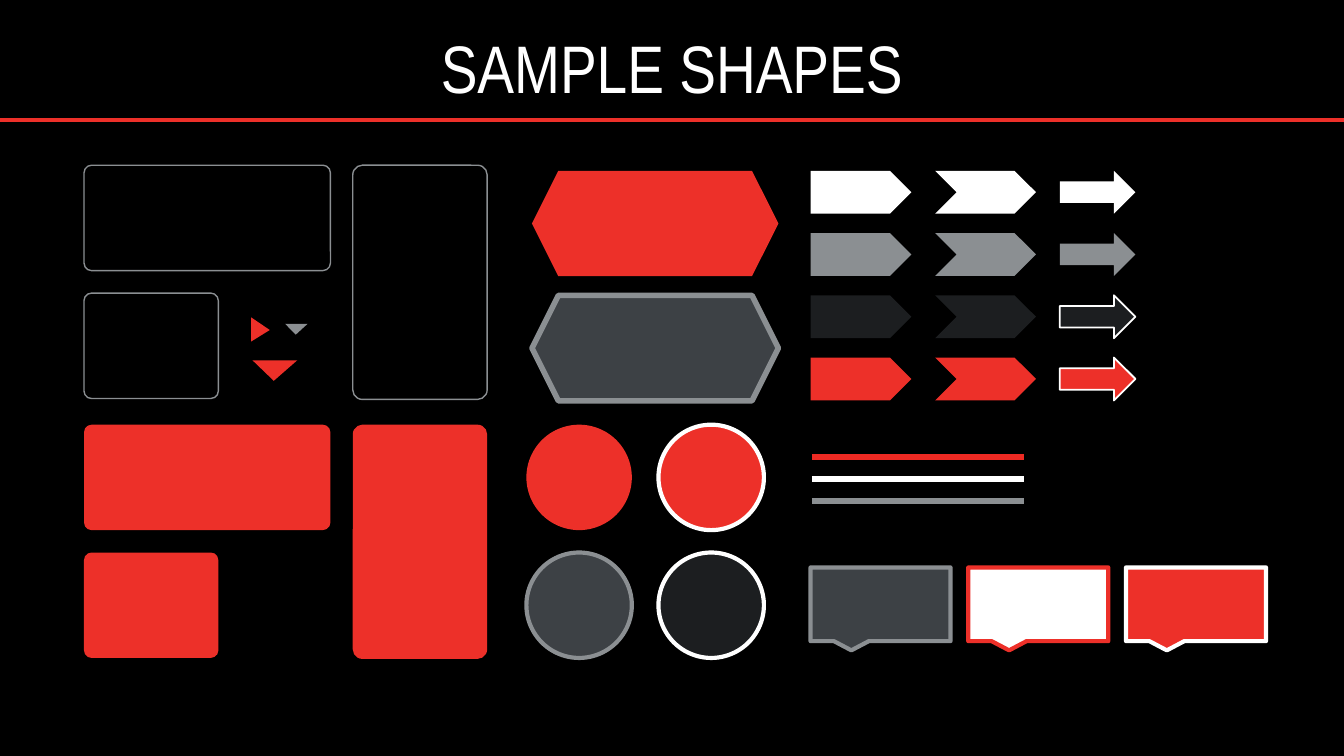
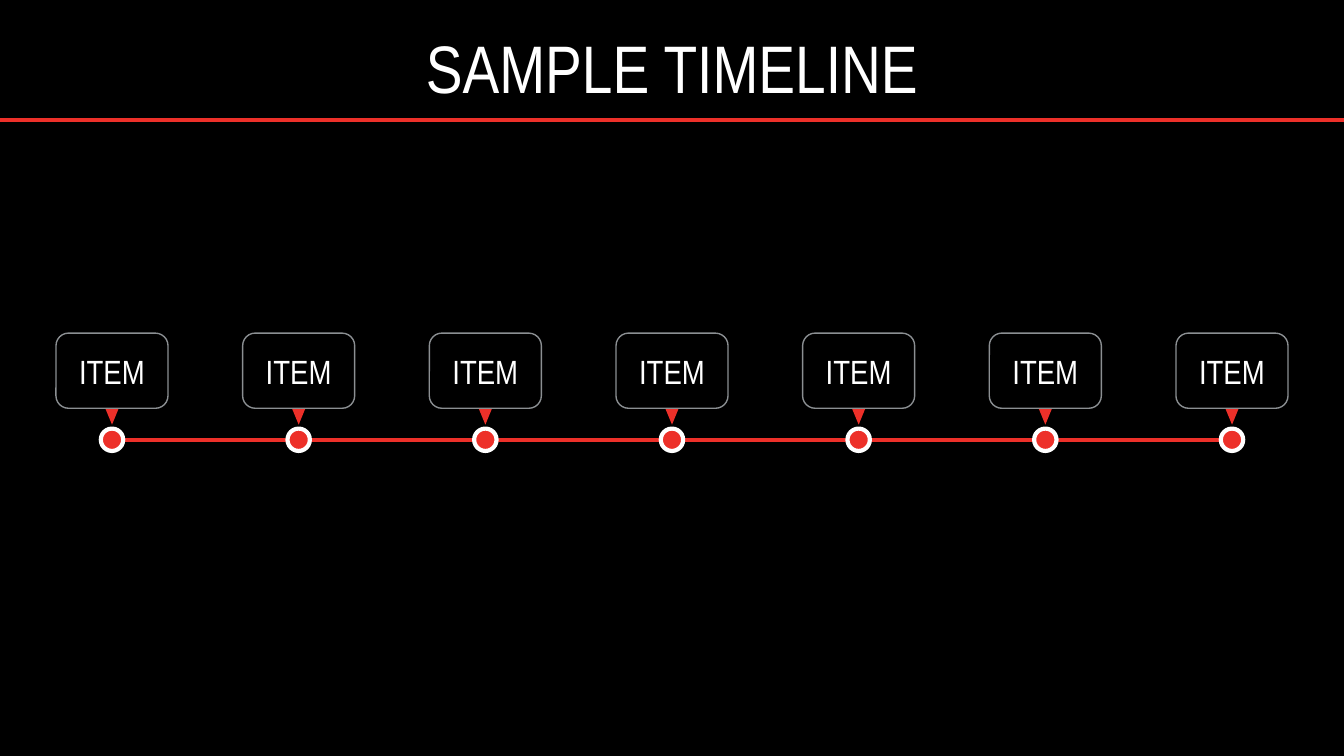
from lxml.etree import SubElement
from pptx import Presentation
from pptx.dml.color import RGBColor
from pptx.enum.shapes import MSO_CONNECTOR as Link, MSO_SHAPE as Kind
from pptx.enum.text import MSO_ANCHOR as Anchor, MSO_AUTO_SIZE as Fit, PP_ALIGN as Align
from pptx.oxml.ns import qn
from pptx.util import Pt

RED, WHITE, GREY = "ED3029", "FFFFFF", "8B8F92"
SLATE, COAL, BLACK = "3D4145", "1C1E20", "000000"
FRAME = {"word_wrap": True, "auto_size": Fit.NONE, "vertical_anchor": Anchor.MIDDLE,
         "margin_left": Pt(7.2), "margin_right": Pt(7.2),
         "margin_top": Pt(3.6), "margin_bottom": Pt(3.6)}
hue = RGBColor.from_string


def write(shape, text, size):
    frame = shape.text_frame
    for key, val in FRAME.items():
        setattr(frame, key, val)
    par = frame.paragraphs[0]
    par.alignment = Align.CENTER
    run = par.add_run()
    run.text = text
    for key, val in {"name": "Arial Narrow", "size": Pt(size), "bold": False}.items():
        setattr(run.font, key, val)
    run.font.color.rgb = hue(WHITE)


def draw(slide, kind, box, fill=None, edge=None, width=1, adj=(), turn=0):
    shape = slide.shapes.add_shape(kind, *[Pt(v) for v in box])
    shape.shadow.inherit = False
    shape.rotation = turn
    for i, val in enumerate(adj):
        shape.adjustments[i] = val
    if fill:
        shape.fill.solid()
        shape.fill.fore_color.rgb = hue(fill)
    else:
        shape.fill.background()
    if edge:
        shape.line.color.rgb = hue(edge)
        shape.line.width = Pt(width)
    else:
        shape.line.fill.background()
    return shape


# Deck and shared background
prs = Presentation()
prs.slide_width, prs.slide_height = Pt(720), Pt(405)
back = prs.slide_master.background.fill
back.solid()
back.fore_color.rgb = hue(BLACK)

# Slides with titles
pages = []
for name in ("SAMPLE SHAPES", "SAMPLE TIMELINE"):
    page = prs.slides.add_slide(prs.slide_layouts[5])
    title = page.shapes.title
    for key, val in {"left": 0, "top": 8, "width": 720, "height": 55.5}.items():
        setattr(title, key, Pt(val))
    write(title, name, 36)
    pages.append(page)
gallery, timeline = pages

# Lines: title rules, sample bars, time axis
lines = [(page, 0, 720, 64.5, RED, 2) for page in pages]
lines += [(gallery, 435, 548.75, 244.75 + 11.9 * i, tint, 3)
          for i, tint in enumerate(("ED2A23", WHITE, GREY))]
lines.append((timeline, 54, 666, 235.6, RED, 2))
for page, x1, x2, y, tint, width in lines:
    line = page.shapes.add_connector(Link.STRAIGHT, Pt(x1), Pt(y), Pt(x2), Pt(y))
    line.line.color.rgb = hue(tint)
    line.line.width = Pt(width)
    SubElement(line._element.spPr, qn("a:effectLst"))

# Rounded panels: outlined set above, red set below
for top, fill, edge in ((88.5, BLACK, GREY), (227.5, RED, None)):
    for x, y, w, h in ((45, 0, 132, 56.5), (45, 68.5, 72, 56.5), (189, 0, 72, 125.5)):
        panel = draw(gallery, Kind.ROUNDED_RECTANGLE, (x, top + y, w, h),
                     fill, edge, 0.75, [0.072])
        if edge:
            clr = panel._element.spPr.find(qn("a:solidFill"))[0]
            SubElement(clr, qn("a:alpha"), val="61000")

# Small pointers
for box, fill, turn in (((133, 171.5, 13, 10), RED, 90),
                        ((135.25, 193, 24, 11), RED, 180),
                        ((152.75, 173.5, 12, 5.75), GREY, 180)):
    draw(gallery, Kind.ISOSCELES_TRIANGLE, box, fill, adj=[0.525], turn=turn)

# Hexagons
for y, fill, edge in ((91.5, RED, None), (158.25, SLATE, GREY)):
    draw(gallery, Kind.HEXAGON, (285, y, 132, 56.5), fill, edge, 3, [0.25])

# Circles, two by two
looks = ((RED, None), (RED, WHITE), (SLATE, GREY), (COAL, WHITE))
for i, (fill, edge) in enumerate(looks):
    row, col = divmod(i, 2)
    box = 282 + 70.75 * col, 227.5 + 68.5 * row, 56.5, 56.5
    draw(gallery, Kind.OVAL, box, fill, edge, 2.25)

# Arrows: one kind per column, one colour per row
kinds = ((Kind.PENTAGON, 54), (Kind.CHEVRON, 54), (Kind.RIGHT_ARROW, 40.5))
for row, fill in enumerate((WHITE, GREY, COAL, RED)):
    for col, (kind, w) in enumerate(kinds):
        edge = WHITE if col == 2 and row > 1 else None
        draw(gallery, kind, (434.25 + 66.75 * col, 91.5 + 33.35 * row, w, 23), fill, edge)

# Callouts
for i, (fill, edge) in enumerate(((SLATE, GREY), (WHITE, RED), (RED, WHITE))):
    draw(gallery, Kind.ROUNDED_RECTANGULAR_CALLOUT, (434.25 + 84.5 * i, 304, 75, 39.5),
         fill, edge, 2.25, [-0.208, 0.625, 0])

# Timeline stops
for i in range(7):
    mid = 60 + 100 * i
    draw(timeline, Kind.ISOSCELES_TRIANGLE, (mid - 3.5, 219, 7, 8.5), RED, turn=180)
    draw(timeline, Kind.OVAL, (mid - 6, 229.6, 12, 12), RED, WHITE, 2.25)
    item = draw(timeline, Kind.ROUNDED_RECTANGLE, (mid - 30, 178.5, 60, 40.25),
                edge=GREY, width=0.75)
    write(item, "ITEM", 18)

prs.save("out.pptx")
